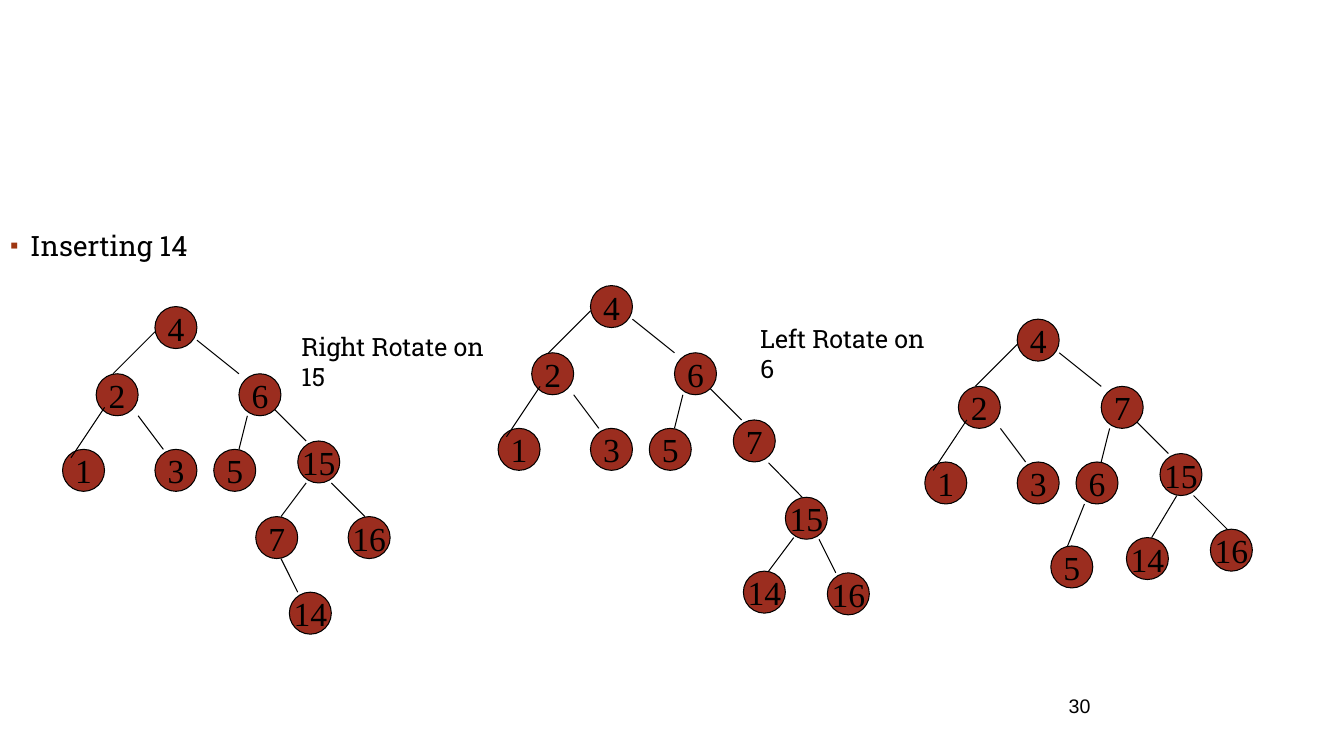
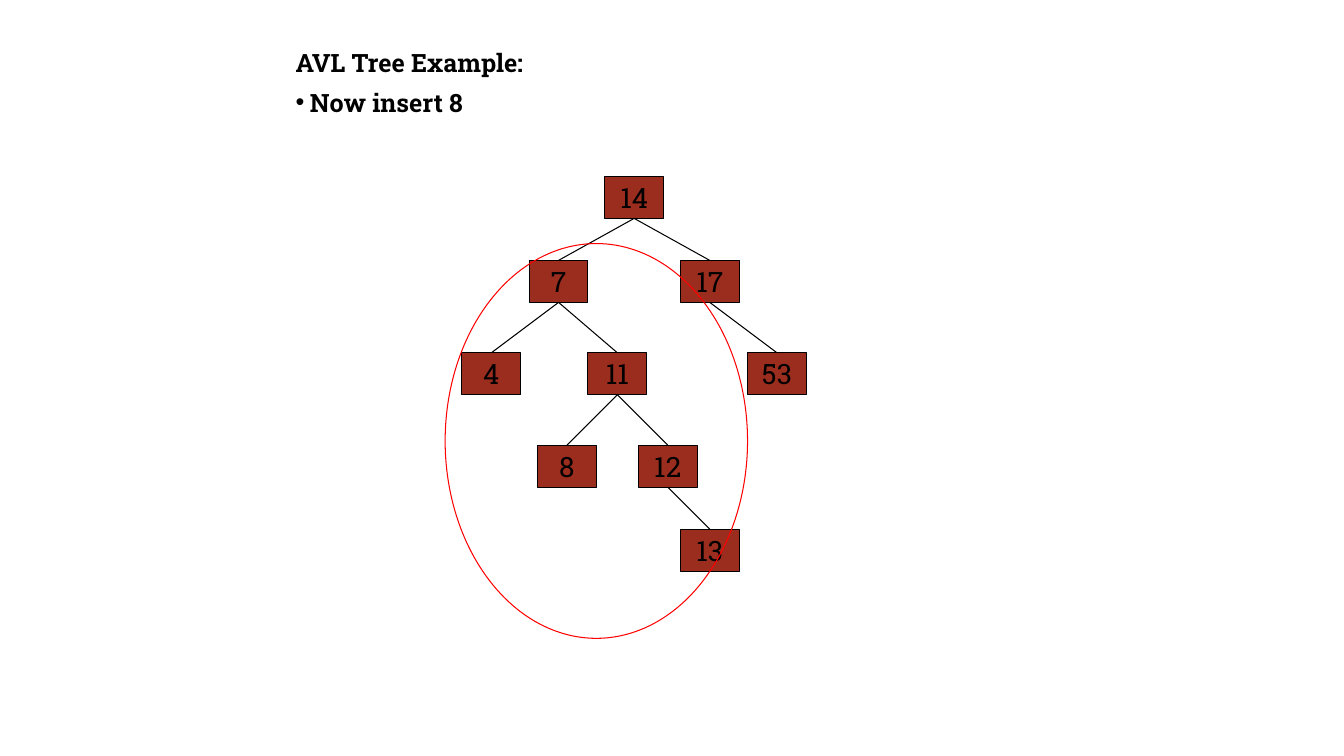
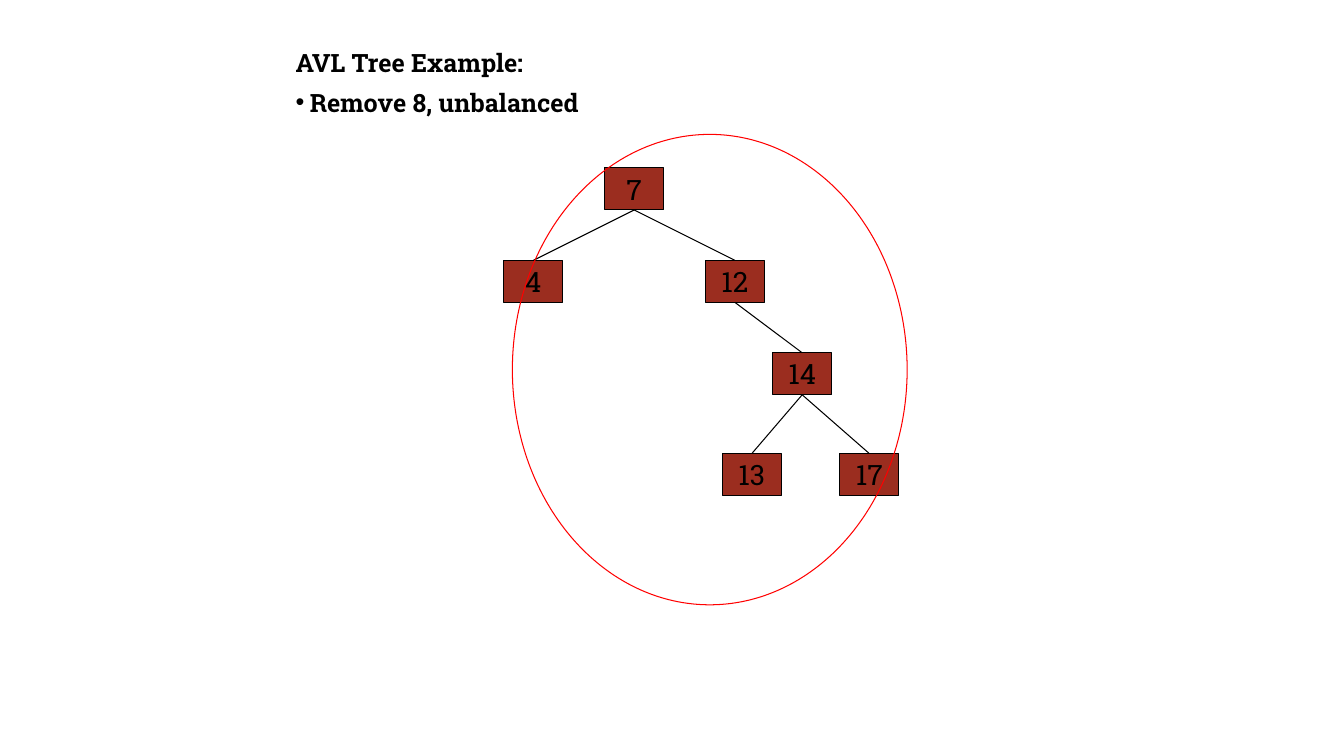
"""Build three slides of AVL tree insertions, rotations and removals."""
from dataclasses import dataclass
from typing import NamedTuple, Optional

from lxml.etree import SubElement
from pptx import Presentation
from pptx.dml.color import RGBColor as Color
from pptx.enum.shapes import MSO_CONNECTOR as Connector, MSO_SHAPE as Preset
from pptx.enum.text import MSO_ANCHOR as Anchor, MSO_AUTO_SIZE as AutoSize, PP_ALIGN as Align
from pptx.oxml.ns import qn
from pptx.util import Inches, Pt


@dataclass(frozen=True)
class Theme:
    ink: Color = Color(0, 0, 0)
    node: Color = Color(0x9B, 0x2D, 0x1F)
    marker: Color = Color(0x9E, 0x36, 0x11)
    highlight: Color = Color(0xFF, 0, 0)
    text_font: str = "Roboto Slab"
    circle_font: str = "Times New Roman"
    number_font: str = "Arial"
    circle_size: int = 24
    text_size: int = 20
    label_size: int = 18
    number_size: int = 14
    line_width: float = 0.75


THEME = Theme()
CELL = Inches(1) / 12
COLUMNS, ROWS = 160, 90


class Point(NamedTuple):
    column: float
    row: float


class Area(NamedTuple):
    column: float
    row: float
    columns: float
    rows: float


class TextStyle(NamedTuple):
    font: str
    size: int
    bold: bool = False


class Bullet(NamedTuple):
    symbol: str
    indent: float
    color: Optional[Color] = None
    percent: int = 100


class Line(NamedTuple):
    text: str
    style: TextStyle
    space_before: float
    spacing: float = 1.0
    bullet: Optional[Bullet] = None


class NodeStyle(NamedTuple):
    preset: Preset
    columns: float
    rows: float
    text: TextStyle


class Node(NamedTuple):
    label: str
    column: float
    row: float
    parent: str = ""
    leave: Point = Point(3.5, 5)
    enter: Point = Point(3.5, 0)


class Tree(NamedTuple):
    origin: Point
    style: NodeStyle
    nodes: list[Node]


class Example(NamedTuple):
    step: str
    text_columns: float
    nodes: list[Node]
    highlight: Area


BODY = TextStyle(THEME.text_font, THEME.text_size)
LABEL = TextStyle(THEME.text_font, THEME.label_size)
HEADING = TextStyle(THEME.text_font, THEME.label_size, True)
NUMBER = TextStyle(THEME.number_font, THEME.number_size)
CIRCLE = NodeStyle(Preset.OVAL, 5, 5, TextStyle(THEME.circle_font, THEME.circle_size))
BOX = NodeStyle(Preset.RECTANGLE, 7, 5, BODY)
SQUARE_BULLET = Bullet("▪", 0.2, THEME.marker, 85)
ROUND_BULLET = Bullet("•", 0.14)


def cells(*counts: float) -> list[int]:
    """Turn grid counts into slide lengths."""
    return [round(count * CELL) for count in counts]


def add_run(paragraph, text: str, style: TextStyle) -> None:
    """Add one run in the given style."""
    run = paragraph.add_run()
    run.text = text
    run.font.name, run.font.size, run.font.bold = style.font, Pt(style.size), style.bold
    run.font.color.rgb = THEME.ink


def set_bullet(paragraph, bullet: Optional[Bullet]) -> None:
    """Give a paragraph its bullet and hanging indent, or neither."""
    properties = paragraph._p.get_or_add_pPr()
    indent = Inches(bullet.indent) if bullet else 0
    properties.set("marL", str(indent))
    properties.set("indent", str(-indent))
    if bullet is None:
        SubElement(properties, qn("a:buNone"))
        return
    if bullet.color is not None:
        color = SubElement(properties, qn("a:buClr"))
        SubElement(color, qn("a:srgbClr")).set("val", str(bullet.color))
    SubElement(properties, qn("a:buSzPct")).set("val", str(bullet.percent * 1000))
    SubElement(properties, qn("a:buChar")).set("char", bullet.symbol)


def add_slide(presentation, area: Area, lines: list[Line]):
    """Add a slide whose body placeholder holds the given lines."""
    slide = presentation.slides.add_slide(presentation.slide_layouts[1])
    title, body = slide.placeholders
    title.element.getparent().remove(title.element)
    body.left, body.top, body.width, body.height = cells(*area)
    frame = body.text_frame
    frame.auto_size = AutoSize.NONE
    for index, line in enumerate(lines):
        paragraph = frame.add_paragraph() if index else frame.paragraphs[0]
        paragraph.space_before = Pt(line.space_before)
        paragraph.line_spacing = line.spacing
        set_bullet(paragraph, line.bullet)
        add_run(paragraph, line.text, line.style)
    return slide


def add_label(slide, area: Area, text: str, style: TextStyle, align: Align = Align.LEFT) -> None:
    """Add a wrapped text box."""
    frame = slide.shapes.add_textbox(*cells(*area)).text_frame
    frame.word_wrap = True
    frame.paragraphs[0].alignment = align
    add_run(frame.paragraphs[0], text, style)


def add_outline(slide, preset: Preset, area: Area, color: Color):
    """Add an unfilled shape with a thin outline."""
    shape = slide.shapes.add_shape(preset, *cells(*area))
    shape.shadow.inherit = False
    shape.fill.background()
    shape.line.color.rgb = color
    shape.line.width = Pt(THEME.line_width)
    return shape


def add_node(slide, tree: Tree, node: Node) -> None:
    """Draw one labelled tree node."""
    style = tree.style
    area = Area(tree.origin.column + node.column, tree.origin.row + node.row,
                style.columns, style.rows)
    shape = add_outline(slide, style.preset, area, THEME.ink)
    shape.fill.solid()
    shape.fill.fore_color.rgb = THEME.node
    frame = shape.text_frame
    frame.word_wrap = False
    frame.vertical_anchor = Anchor.MIDDLE
    frame.paragraphs[0].alignment = Align.CENTER
    add_run(frame.paragraphs[0], node.label, style.text)


def add_edge(slide, origin: Point, parent: Node, child: Node) -> None:
    """Draw the line from a parent node to its child."""
    ends = [coordinate
            for node, port in ((parent, child.leave), (child, child.enter))
            for coordinate in (origin.column + node.column + port.column,
                               origin.row + node.row + port.row)]
    edge = slide.shapes.add_connector(Connector.STRAIGHT, *cells(*ends))
    edge.line.color.rgb = THEME.ink
    edge.line.width = Pt(THEME.line_width)
    SubElement(edge._element.spPr, qn("a:effectLst"))


def add_tree(slide, tree: Tree) -> None:
    """Draw the nodes of a tree and then its edges."""
    by_label = {node.label: node for node in tree.nodes}
    for node in tree.nodes:
        add_node(slide, tree, node)
    for node in tree.nodes:
        if node.parent:
            add_edge(slide, tree.origin, by_label[node.parent], node)


def rotation_tree(origin: Point, right: str, inner: str, outer: str, *lower: Node) -> Tree:
    """Complete the part that all rotation stages share."""
    upper = [
        Node("4", 0, 0),
        Node("2", -7, 8, "4", Point(0, 3), Point(2, 0)),
        Node("1", -11, 17, "2", Point(1, 4), Point(1, 1)),
        Node("3", 0, 17, "2", Point(5, 5), Point(1, 0)),
        Node(right, 10, 8, "4", Point(5, 4), Point(0, 0)),
        Node(inner, 7, 17, right, Point(1, 5), Point(3, 0)),
        Node(outer, 17, 16, right, Point(4.25, 4.25), Point(1, 0)),
    ]
    return Tree(origin, CIRCLE, upper + list(lower))


ROTATIONS = [
    rotation_tree(
        Point(18.45, 36.5), "6", "5", "15",
        Node("7", 12, 25, "15", Point(1, 5), Point(3, 0)),
        Node("16", 23, 25, "15", Point(4, 5), Point(2, 0)),
        Node("14", 16, 34, "7", Point(3, 5), Point(1, 0))),
    rotation_tree(
        Point(70.3, 34), "6", "5", "7",
        Node("15", 23.2, 25.2, "7", Point(4.2, 5.1), Point(2, 0)),
        Node("14", 18.2, 34, "15", Point(1, 4.8), Point(3, 0)),
        Node("16", 28.2, 34.2, "15", Point(4, 5), Point(1, 0))),
    rotation_tree(
        Point(121.1, 38), "7", "6", "15",
        Node("5", 4, 27, "6", Point(1, 5), Point(2, 0)),
        Node("14", 13, 26, "15", Point(2, 5), Point(3, 0)),
        Node("16", 23, 25, "15", Point(4, 5), Point(2, 0))),
]

ROTATION_LABELS = {
    "Right Rotate on 15": Area(34.7, 38.8, 25.6, 4.8),
    "Left Rotate on 6": Area(89.3, 37.9, 22.7, 4.8),
}

EXAMPLES = [
    Example("Now insert 8", 94, [
        Node("14", 72, 21),
        Node("7", 63, 31, "14"),
        Node("17", 81, 31, "14"),
        Node("4", 55, 42, "7"),
        Node("11", 70, 42, "7"),
        Node("53", 89, 42, "17"),
        Node("8", 64, 53, "11"),
        Node("12", 76, 53, "11"),
        Node("13", 81, 63, "12"),
    ], Area(53, 29, 36, 47)),
    Example("Remove 8, unbalanced", 101, [
        Node("7", 72, 20),
        Node("4", 60, 31, "7"),
        Node("12", 84, 31, "7"),
        Node("14", 92, 42, "12"),
        Node("13", 86, 54, "14"),
        Node("17", 100, 54, "14"),
    ], Area(61, 16, 47, 56)),
]


def add_rotation_slide(presentation) -> None:
    """Show the three stages of a double rotation."""
    slide = add_slide(presentation, Area(0, 27, 129.6, 53),
                      [Line("Inserting 14", BODY, 12, 0.9, SQUARE_BULLET)])
    add_label(slide, Area(106, 82, 25, 6), "30", NUMBER, Align.RIGHT)
    for tree in ROTATIONS:
        add_tree(slide, tree)
    for text, area in ROTATION_LABELS.items():
        add_label(slide, area, text, LABEL)


def add_example_slide(presentation, example: Example) -> None:
    """Show one step of the example with its highlighted subtree."""
    slide = add_slide(presentation, Area(34, 5, example.text_columns, 10.2), [
        Line("AVL Tree Example:", HEADING, 7),
        Line(example.step, HEADING, 7, bullet=ROUND_BULLET),
    ])
    add_tree(slide, Tree(Point(0, 0), BOX, example.nodes))
    add_outline(slide, Preset.OVAL, example.highlight, THEME.highlight)


def main() -> None:
    """Build and save the presentation."""
    presentation = Presentation()
    presentation.slide_width, presentation.slide_height = cells(COLUMNS, ROWS)
    add_rotation_slide(presentation)
    for example in EXAMPLES:
        add_example_slide(presentation, example)
    presentation.save("out.pptx")


if __name__ == "__main__":
    main()
